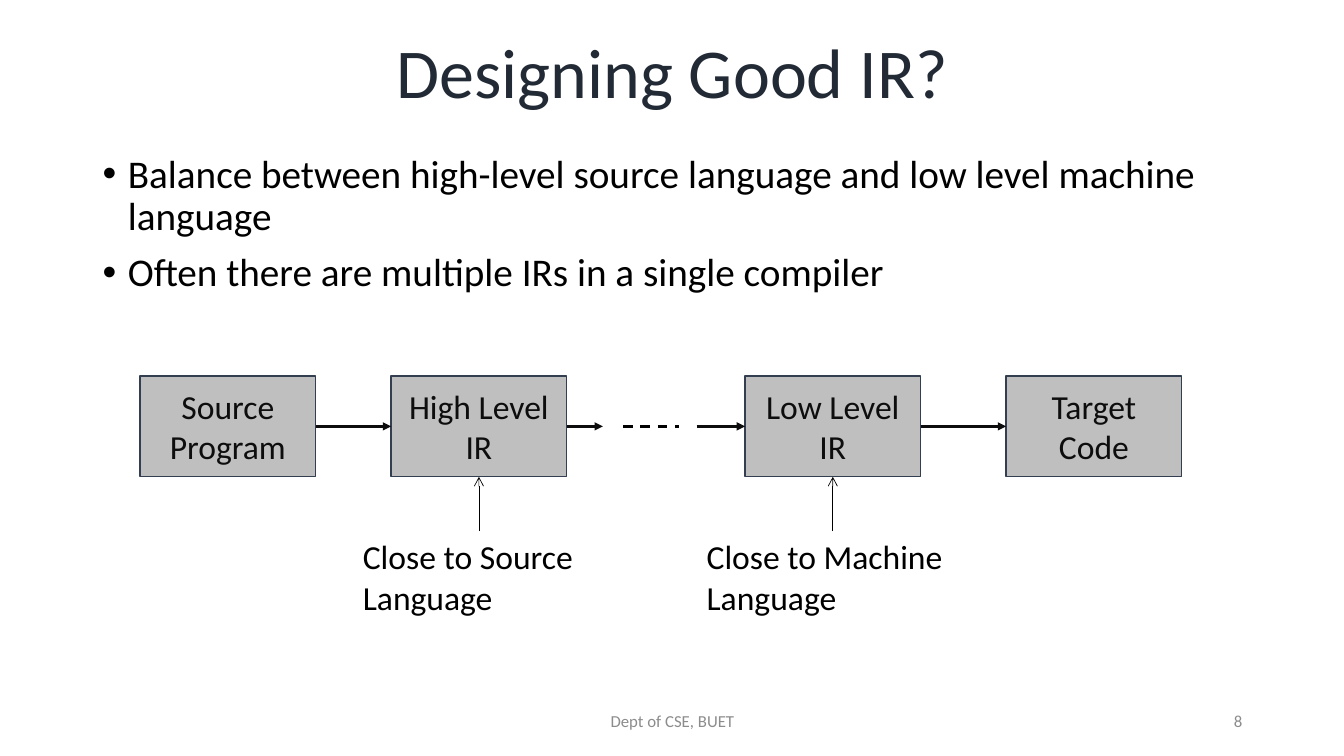
from lxml.etree import SubElement
from pptx import Presentation
from pptx.dml.color import RGBColor
from pptx.enum.dml import MSO_LINE
from pptx.enum.shapes import MSO_CONNECTOR, MSO_SHAPE
from pptx.enum.text import MSO_ANCHOR, MSO_AUTO_SIZE, PP_ALIGN
from pptx.oxml import parse_xml
from pptx.oxml.ns import nsdecls, qn
from pptx.util import Inches, Pt

COLORS = {
    "title": "222A35",
    "body": "000000",
    "stage_fill": "BFBFBF",
    "stage_line": "333F50",
    "stage_ink": "0D0D0D",
    "footer": "8C8C8C",
}
STAGE_TOP, STAGE_WIDTH, STAGE_HEIGHT = 3.73, 1.74, 1
FLOW_Y = STAGE_TOP + STAGE_HEIGHT / 2
STAGE_BOTTOM = STAGE_TOP + STAGE_HEIGHT
NOTE_TOP = 5.27
STAGES = {
    "Source Program": 1.39,
    "High Level IR": 3.88,
    "Low Level IR": 7.39,
    "Target Code": 9.98,
}
NOTES = [
    ("High Level IR", ["Close to Source", "Language"], 3.5, 2.48),
    ("Low Level IR", ["Close to Machine", "Language"], 6.91, 2.71),
]
BULLETS = [
    "Balance between high-level source language and low level machine language",
    "Often there are multiple IRs in a single compiler",
]


def rgb(name):
    return RGBColor.from_string(COLORS[name])


def apply_format(target, values):
    for attribute, value in values.items():
        setattr(target, attribute, value)


def write(frame, lines, size, color, frame_format, paragraph_format):
    apply_format(frame, frame_format)
    for index, line in enumerate(lines):
        paragraph = frame.paragraphs[0] if index == 0 else frame.add_paragraph()
        apply_format(paragraph, paragraph_format)
        run = paragraph.add_run()
        run.text = line
        apply_format(run.font, {"name": "Calibri", "size": Pt(size)})
        run.font.color.rgb = rgb(color)


def add_text(slide, box, lines, size, color, anchor=MSO_ANCHOR.MIDDLE, wrap=True, **paragraph_format):
    frame = slide.shapes.add_textbox(*map(Inches, box)).text_frame
    frame_format = {
        "word_wrap": wrap,
        "auto_size": MSO_AUTO_SIZE.NONE if wrap else MSO_AUTO_SIZE.SHAPE_TO_FIT_TEXT,
        "vertical_anchor": anchor,
    }
    write(frame, lines, size, color, frame_format, paragraph_format)
    return frame


def add_title(slide, title):
    frame = add_text(slide, (0.92, 0.03, 11.5, 1.45), [title], 50, "title",
                     alignment=PP_ALIGN.CENTER, line_spacing=0.9)
    properties = frame.paragraphs[0].runs[0].font.fill
    shadow = parse_xml(
        f'<a:effectLst {nsdecls("a")}><a:outerShdw blurRad="38100" dist="38100" dir="2700000" algn="tl">'
        '<a:srgbClr val="000000"><a:alpha val="43000"/></a:srgbClr></a:outerShdw></a:effectLst>')
    fill = frame.paragraphs[0].runs[0]._r.rPr.find(qn("a:solidFill"))
    fill.addnext(shadow)


def add_bullets(slide, bullets):
    frame = add_text(slide, (0.92, 1.48, 11.5, 5.28), bullets, 28, "body",
                     anchor=MSO_ANCHOR.TOP, line_spacing=0.9)
    for index, paragraph in enumerate(frame.paragraphs):
        paragraph.space_before = Pt(10 if index else 0)
        properties = paragraph._p.get_or_add_pPr()
        properties.set("marL", str(Inches(0.25)))
        properties.set("indent", str(Inches(-0.25)))
        SubElement(properties, qn("a:buFont")).set("typeface", "Arial")
        SubElement(properties, qn("a:buChar")).set("char", "•")


def add_stage(slide, label, left):
    stage = slide.shapes.add_shape(MSO_SHAPE.RECTANGLE, *map(
        Inches, (left, STAGE_TOP, STAGE_WIDTH, STAGE_HEIGHT)))
    stage.shadow.inherit = False
    stage.fill.solid()
    stage.fill.fore_color.rgb = rgb("stage_fill")
    stage.line.color.rgb = rgb("stage_line")
    stage.line.width = Pt(1)
    write(stage.text_frame, [label], 24, "stage_ink",
          {"word_wrap": True, "vertical_anchor": MSO_ANCHOR.MIDDLE},
          {"alignment": PP_ALIGN.CENTER})


def add_link(slide, start, end, color, width, head=None, dash=None):
    link = slide.shapes.add_connector(MSO_CONNECTOR.STRAIGHT, *map(Inches, (*start, *end)))
    link.line.color.rgb = rgb(color)
    apply_format(link.line, {"width": Pt(width), "dash_style": dash})
    if head:
        SubElement(link.line._get_or_add_ln(), qn("a:tailEnd")).set("type", head)
    SubElement(link._element.spPr, qn("a:effectLst"))


def add_flow(slide):
    for label, left in STAGES.items():
        add_stage(slide, label, left)
    source, high, low, target = STAGES.values()
    arrows = [
        (source + STAGE_WIDTH, high),
        (low + STAGE_WIDTH, target),
        (high + STAGE_WIDTH, 5.98),
        (6.91, low),
    ]
    for start, end in arrows:
        add_link(slide, (start, FLOW_Y), (end, FLOW_Y), "stage_ink", 1.75, "triangle")
    add_link(slide, (6.18, FLOW_Y), (6.73, FLOW_Y), "body", 1.75, dash=MSO_LINE.DASH)


def add_note(slide, stage, lines, left, width):
    add_text(slide, (left, NOTE_TOP, width, 0.91), lines, 24, "body",
             anchor=MSO_ANCHOR.TOP, wrap=False)
    center = STAGES[stage] + STAGE_WIDTH / 2
    add_link(slide, (center, NOTE_TOP), (center, STAGE_BOTTOM), "body", 0.5, "arrow")


def main():
    deck = Presentation()
    apply_format(deck, {"slide_width": Inches(13.33), "slide_height": Inches(7.5)})
    slide = deck.slides.add_slide(deck.slide_layouts[6])
    add_title(slide, "Designing Good IR?")
    add_bullets(slide, BULLETS)
    add_flow(slide)
    for note in NOTES:
        add_note(slide, *note)
    add_text(slide, (4.42, 6.95, 4.5, 0.4), ["Dept of CSE, BUET"], 12, "footer",
             alignment=PP_ALIGN.CENTER)
    add_text(slide, (9.42, 6.95, 3, 0.4), ["8"], 12, "footer", alignment=PP_ALIGN.RIGHT)
    deck.save("out.pptx")


if __name__ == "__main__":
    main()
